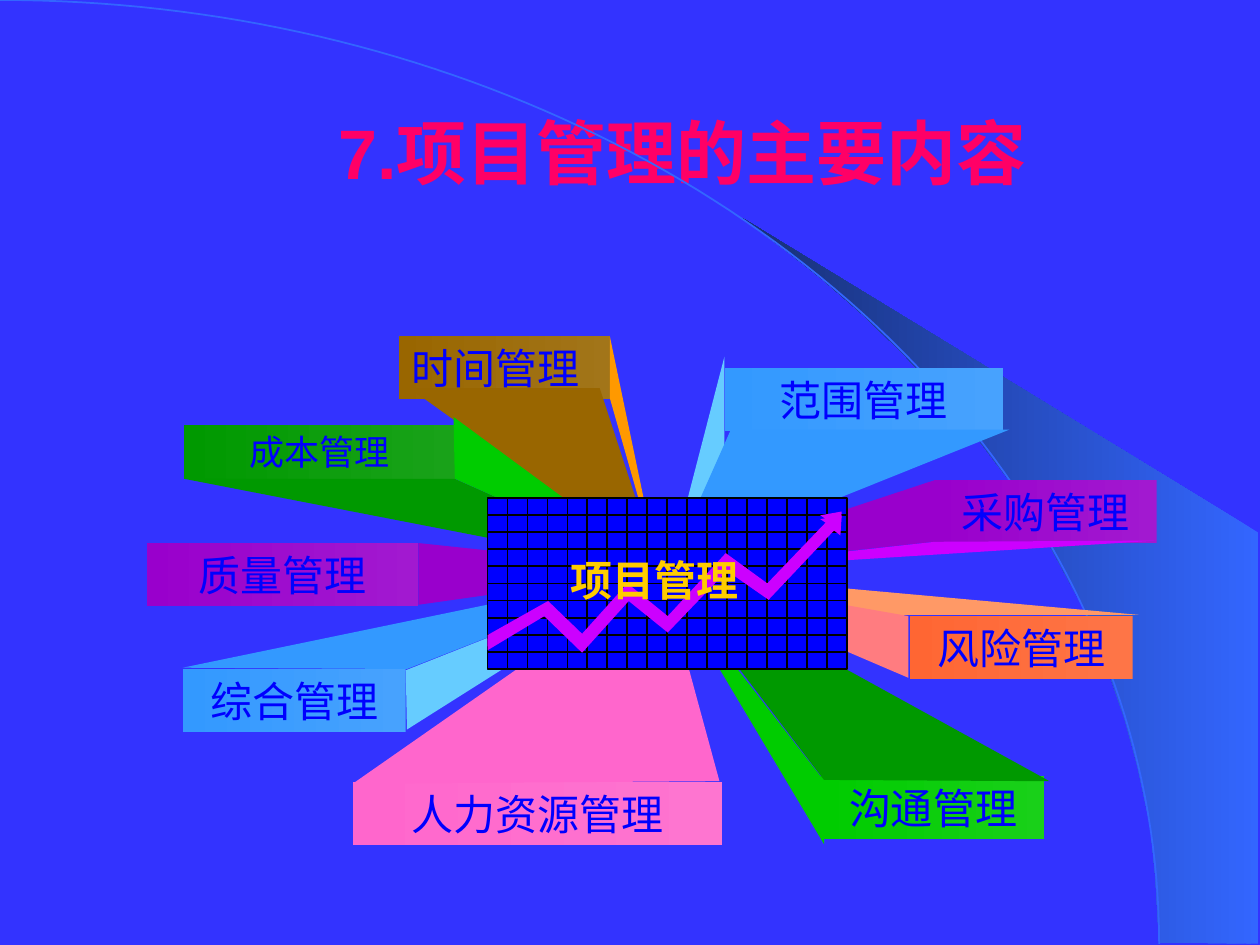
from math import cos, pi, sin

from pptx import Presentation
from pptx.dml.color import RGBColor
from pptx.enum.lang import MSO_LANGUAGE_ID
from pptx.enum.shapes import MSO_CONNECTOR, MSO_SHAPE
from pptx.enum.text import MSO_ANCHOR, MSO_AUTO_SIZE, PP_ALIGN
from pptx.oxml.ns import qn
from pptx.util import Inches, Pt
from lxml import etree

LEFT, CENTER = PP_ALIGN.LEFT, PP_ALIGN.CENTER
TOP, MIDDLE = MSO_ANCHOR.TOP, MSO_ANCHOR.MIDDLE
GROW, FIXED = MSO_AUTO_SIZE.SHAPE_TO_FIT_TEXT, MSO_AUTO_SIZE.NONE
RECTANGLE, STRAIGHT = MSO_SHAPE.RECTANGLE, MSO_CONNECTOR.STRAIGHT
CHINESE = MSO_LANGUAGE_ID.SIMPLIFIED_CHINESE
COLUMNS, ROWS = 100, 75
SERIF, SANS, HAN = "Times New Roman", "Arial", "Noto Sans CJK SC"

LABELS = [
    ("时间管理", (31.7, 26.7, 16.7, 5), "A27519", "996600", {"align": LEFT}),
    ("范围管理", (57.5, 29.2, 22.1, 5), "47A2FE", "3399FF", {}),
    ("质量管理", (11.7, 43.1, 21.5, 5), "A219D0", "9900CC", {}),
    ("成本管理", (14.6, 33.7, 21.5, 4.3), "19A219", "009900", {"size": 20}),
    ("综合管理", (14.5, 53.1, 17.7, 5), "47A2FE", "3399FF", {}),
    ("人力资源管理", (28, 62.1, 29.3, 5), "FE75D0", "FF66CC", {}),
    ("采购管理", (74.1, 38.1, 17.7, 5), "A219D0", "9900CC", {"font": HAN}),
    ("风险管理", (72.2, 48.9, 17.7, 5), "FE7547", "FF6633", {"font": HAN}),
    ("沟通管理", (65.2, 61.6, 17.7, 5), "19D019", "00CC00", {}),
]
RAYS = [
    ("996600", [(32.5, 30.8), (47.6, 30.8), (52.2, 44.9)]),
    ("FF9900", [(48.4, 26.7), (48.4, 31.6), (52.2, 44.9)]),
    ("66CCFF", [(57.5, 28.3), (57.5, 35.9), (53.2, 44.9)]),
    ("3399FF", [(58, 34.1), (53.2, 44.9), (80.1, 34.1)]),
    ("9900CC", [(74.2, 38.1), (74.2, 43), (52.4, 45.3)]),
    ("CC00FF", [(91.8, 42.9), (52.4, 45.4), (74.2, 43)]),
    ("FF9966", [(52.7, 45.4), (90.4, 48.8), (67.7, 48.8)]),
    ("FF7C80", [(52.7, 45.5), (72.1, 48.9), (72.1, 53.8)]),
    ("009900", [(14.6, 38), (36.1, 38), (52.7, 45.4)]),
    ("00CC00", [(36, 33.1), (52.7, 45.4), (36.1, 38)]),
    ("9900CC", [(33.2, 43.1), (53, 45.2), (33.2, 48)]),
    ("3399FF", [(14.5, 53), (52.7, 45.1), (32.3, 53.1)]),
    ("66CCFF", [(52.4, 45.2), (32.2, 53.2), (32.3, 57.9)]),
    ("FF66CC", [(28, 62.2), (52.5, 45.1), (57.1, 62)]),
    ("00CC00", [(52.4, 45.2), (65.4, 67), (65.5, 62.1)]),
    ("009900", [(52.6, 45.1), (83.3, 62), (65.4, 61.9)]),
]
SWATH = [(92, 74.8), (99.9, 74.9), (99.9, 42.3), (58.9, 17.3), (62.4, 19.9),
         (65.3, 22.2), (68.5, 25), (71.6, 28), (76.2, 33), (80.3, 38.4),
         (83.2, 43.1), (85.8, 47.9), (87.8, 52.8), (89.3, 57.2),
         (90.3, 60.9), (91.3, 65.6), (91.7, 69.6)]
TREND = [(38.7, 50.4), (43.5, 47.7), (46.2, 50.3), (49.8, 46.3), (53, 48.9),
         (57.6, 43.9), (60.9, 46.3), (65.7, 41.3), (65.1, 40.9), (66.8, 40.6),
         (66.7, 42.2), (66.2, 41.8), (61, 47.3), (57.7, 45), (53, 49.9),
         (49.9, 47.4), (46.2, 51.5), (43.2, 48.6), (38.7, 51.3)]


def rgb(code):
    """Turn a hex string into a colour."""
    return RGBColor.from_string(code)


def write_text(frame, text, font=SERIF, size=24, color="0000FF", bold=False,
               align=CENTER, anchor=TOP, wrap=True, fit=GROW):
    """Write one formatted paragraph into a text frame."""
    frame.word_wrap, frame.auto_size, frame.vertical_anchor = wrap, fit, anchor
    paragraph = frame.paragraphs[0]
    paragraph.alignment = align
    run = paragraph.add_run()
    run.text = text
    run.font.name, run.font.size, run.font.bold = font, Pt(size), bold
    run.font.color.rgb = rgb(color)
    run.font.language_id = CHINESE


class Board:
    """Hold the style and the current slide."""

    def __init__(self, deck, background):
        """Add a title slide laid out on the grid."""
        self.slide = deck.slides.add_slide(deck.slide_layouts[5])
        self.shapes = self.slide.shapes
        self.column = deck.slide_width / COLUMNS
        self.row = deck.slide_height / ROWS
        fill = self.slide.background.fill
        fill.solid()
        fill.fore_color.rgb = rgb(background)

    def place(self, column, row):
        """Turn grid columns and rows into slide lengths."""
        return round(column * self.column), round(row * self.row)

    def area(self, column, row, width, height):
        """Turn a grid area into left, top, width and height."""
        return *self.place(column, row), *self.place(width, height)

    def paint(self, shape, colors, line):
        """Give a shape its fill of none, one or two colours and its line."""
        shape.shadow.inherit = False
        if len(colors) == 2:
            shape.fill.gradient()
            shape.fill.gradient_angle = 180
            for stop, color in zip(shape.fill.gradient_stops, colors):
                stop.color.rgb = rgb(color)
        elif colors:
            shape.fill.solid()
            shape.fill.fore_color.rgb = rgb(colors[0])
        else:
            shape.fill.background()
        if line:
            shape.line.color.rgb, shape.line.width = rgb(line), Pt(1)
        else:
            shape.line.fill.background()

    def title(self, text, area, **style):
        """Move and fill the title placeholder."""
        title = self.shapes.title
        title.left, title.top, title.width, title.height = self.area(*area)
        write_text(title.text_frame, text, **style)

    def box(self, area, *colors, line=None):
        """Add a rectangle."""
        box = self.shapes.add_shape(RECTANGLE, *self.area(*area))
        self.paint(box, colors, line)
        return box

    def caption(self, text, area, **style):
        """Add a free text box."""
        caption = self.shapes.add_textbox(*self.area(*area))
        write_text(caption.text_frame, text, **style)

    def outline(self, points, *colors, line=None, close=True):
        """Add a shape drawn through grid points."""
        start, *rest = [self.place(*point) for point in points]
        builder = self.shapes.build_freeform(*start)
        builder.add_line_segments(rest, close=close)
        self.paint(builder.convert_to_shape(), colors, line)

    def rule(self, start, end, color):
        """Add a thin straight line."""
        rule = self.shapes.add_connector(
            STRAIGHT, *self.place(*start), *self.place(*end))
        rule.line.color.rgb, rule.line.width = rgb(color), Pt(1)
        etree.SubElement(rule._element.spPr, qn("a:effectLst"))
        return rule

    def chart_paper(self, area, columns, rows, fill, line):
        """Add a rectangle ruled into equal cells."""
        left, top, width, height = area
        paper = self.box(area, fill, line=line)
        for count, sides in ((columns, (0, 2)), (rows, (1, 3))):
            for step in range(1, count):
                if count == columns:
                    x = left + width * step / count
                    ends = (x, top), (x, top + height)
                else:
                    y = top + height * step / count
                    ends = (left, y), (left + width, y)
                rule = self.rule(*ends, line)
                if step * 2 == count:
                    rule.begin_connect(paper, sides[0])
                    rule.end_connect(paper, sides[1])


def main():
    """Build the slide of project management areas."""
    deck = Presentation()
    deck.slide_width, deck.slide_height = Inches(10), Inches(7.5)
    board = Board(deck, "3333FF")

    board.outline(SWATH, "3366FF", "172F75")
    angles = [pi / 2 * step / 90 for step in range(91)]
    board.outline([(92 * sin(a), 74.9 * (1 - cos(a))) for a in angles],
                  line="3366FF", close=False)
    board.title("7.项目管理的主要内容", (20.8, 5.8, 66.7, 12.5), font=SANS,
                size=40, color="FF0066", bold=True, anchor=MIDDLE, fit=FIXED)

    for topic, area, light, dark, style in LABELS:
        write_text(board.box(area, light, dark).text_frame, topic, **style)
    for color, corners in RAYS:
        board.outline(corners, color)

    board.chart_paper((38.7, 39.5, 28.5, 13.6), 18, 10, "0000FF", "000000")
    for drop in (0.3, 0):
        board.outline([(x, y + drop) for x, y in TREND], "CC00FF")
    board.caption("项目管理", (44.3, 43.5, 15.4, 5), font=HAN, color="FFCC00",
                  bold=True, align=LEFT, wrap=False)
    deck.save("out.pptx")


if __name__ == "__main__":
    main()
